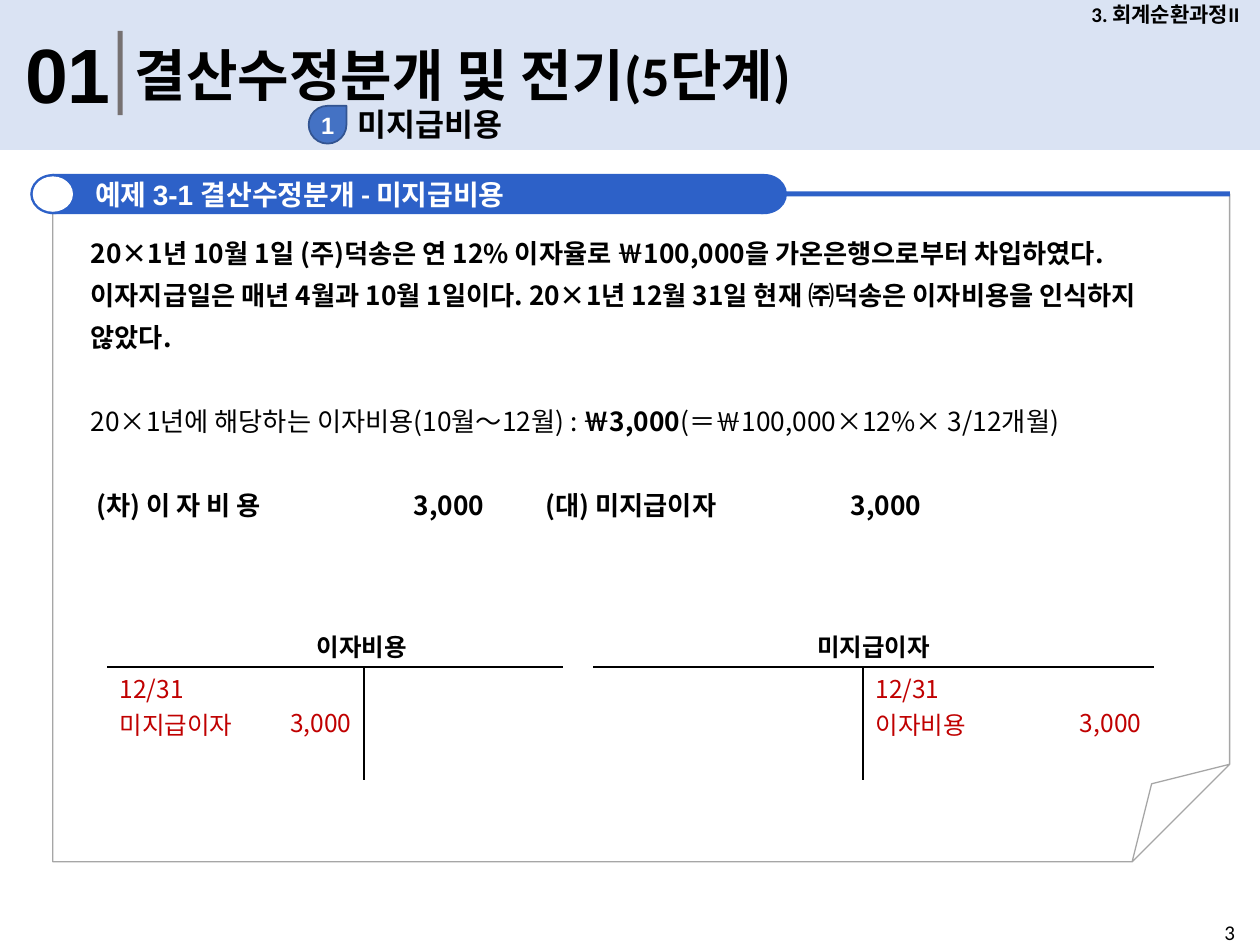
"""Build the accrued expense example slide with its two T-accounts."""
from lxml import etree
from pptx import Presentation
from pptx.dml.color import RGBColor
from pptx.enum.shapes import MSO_SHAPE
from pptx.enum.text import MSO_ANCHOR, MSO_AUTO_SIZE, PP_ALIGN
from pptx.oxml.ns import qn
from pptx.util import Pt

RECTANGLE, OVAL = MSO_SHAPE.RECTANGLE, MSO_SHAPE.OVAL
TEARDROP, FOLDED = MSO_SHAPE.TEAR, MSO_SHAPE.FOLDED_CORNER
TOP, MIDDLE, BOTTOM = MSO_ANCHOR.TOP, MSO_ANCHOR.MIDDLE, MSO_ANCHOR.BOTTOM
LEFT, CENTER, RIGHT = PP_ALIGN.LEFT, PP_ALIGN.CENTER, PP_ALIGN.RIGHT
NO_FIT = MSO_AUTO_SIZE.NONE
BLACK = RGBColor(0x00, 0x00, 0x00)
WHITE = RGBColor(0xFF, 0xFF, 0xFF)
PALE = RGBColor(0xDA, 0xE3, 0xF3)
GRAY = RGBColor(0x76, 0x71, 0x71)
SILVER = RGBColor(0xA6, 0xA6, 0xA6)
BLUE = RGBColor(0x2D, 0x61, 0xC8)
BADGE = RGBColor(0x44, 0x72, 0xC4)
NAVY = RGBColor(0x32, 0x54, 0x91)
RED = RGBColor(0xC0, 0x00, 0x00)
KOREAN = "Noto Sans CJK KR"


def add_span(para, text, size, face="Calibri", color=BLACK, bold=True):
    span = para.add_run()
    span.text = text
    for name, value in {"size": Pt(size), "name": face, "bold": bold}.items():
        setattr(span.font, name, value)
    span.font.color.rgb = color
    etree.SubElement(span.font._element, qn("a:ea"), typeface=KOREAN)


def add_figure(kind, bounds, fill=None, line=None, width=1):
    figure = page.shapes.add_shape(kind, *map(Pt, bounds))
    figure.shadow.inherit = False
    for part, color in ((figure.fill, fill), (figure.line.fill, line)):
        if color is None:
            part.background()
        else:
            part.solid()
            part.fore_color.rgb = color
    if line is not None:
        figure.line.width = Pt(width)
    return figure


deck = Presentation()
deck.slide_width, deck.slide_height = Pt(720), Pt(540)
page = deck.slides.add_slide(deck.slide_layouts[5])

band = add_figure(RECTANGLE, (0, 0, 720, 85.7), PALE)
title = page.shapes.title
band.element.addnext(title.element)
bounds = {"left": 69.8, "top": 19.4, "width": 462, "height": 46}
for name, value in bounds.items():
    setattr(title, name, Pt(value))
title_format = {"vertical_anchor": TOP, "auto_size": NO_FIT, "word_wrap": True}
for name, value in title_format.items():
    setattr(title.text_frame, name, value)
title.text_frame.paragraphs[0].alignment = LEFT
add_span(title.text_frame.paragraphs[0], "결산수정분개 및 전기(5단계)", 32)
add_figure(RECTANGLE, (67.3, 17.6, 2.9, 48.2), GRAY)

labels = [
    ("01", (7.2, 11.5, 65.5, 60.5), 44, "Arial", True, LEFT, TOP),
    ("미지급비용", (197.3, 56.2, 269, 28.8), 18, "Calibri", True, LEFT, TOP),
    ("3. 회계순환과정II", (612, 0, 108, 16.6), 12, "Calibri", True, CENTER, MIDDLE),
    ("3", (692.6, 522, 27.4, 18), 12, "Calibri", False, LEFT, TOP),
]
for text, bounds, size, face, bold, alignment, anchor in labels:
    box = page.shapes.add_textbox(*map(Pt, bounds))
    box.text_frame.vertical_anchor = anchor
    box.text_frame.paragraphs[0].alignment = alignment
    add_span(box.text_frame.paragraphs[0], text, size, face, bold=bold)

badge = add_figure(TEARDROP, (176.4, 60.5, 21.6, 21.6), BADGE, NAVY)
badge_format = {"margin_left": 0, "margin_right": 0, "margin_top": 0,
                "margin_bottom": 0, "vertical_anchor": MIDDLE, "word_wrap": False}
for name, value in badge_format.items():
    setattr(badge.text_frame, name, value)
badge.text_frame.paragraphs[0].alignment = CENTER
add_span(badge.text_frame.paragraphs[0], "1", 13.5, "Arial", WHITE)

sheet = add_figure(FOLDED, (30.2, 110.9, 672.5, 381.6), line=SILVER, width=0.75)
fold = next(sheet.element.iter(qn("a:avLst")))
etree.SubElement(fold, qn("a:gd"), name="adj", fmla="val 14600")
add_figure(RECTANGLE, (31, 109.4, 671.8, 2.9), BLUE)
for left in (17.3, 423.4):
    add_figure(OVAL, (left, 99.4, 26.3, 23), BLUE)
heading = add_figure(RECTANGLE, (29.5, 99.4, 406.8, 23), BLUE)
heading_format = {"margin_left": Pt(24.8), "margin_top": 0, "margin_bottom": 0,
                  "vertical_anchor": MIDDLE}
for name, value in heading_format.items():
    setattr(heading.text_frame, name, value)
heading.text_frame.paragraphs[0].alignment = LEFT
for text, face in (("예제 ", "Calibri"), ("3-1 ", "Arial"),
                   ("결산수정분개 - 미지급비용", "Calibri")):
    add_span(heading.text_frame.paragraphs[0], text, 16, face, WHITE)
add_figure(OVAL, (18.7, 100.8, 23, 20.2), WHITE)

paragraphs = [
    [("20×1년 10월 1일 (주)덕송은 연 12% 이자율로 ￦100,000을 가온은행으로부터 "
      "차입하였다. 이자지급일은 매년 4월과 10월 1일이다. 20×1년 12월 31일 현재 "
      "㈜덕송은 이자비용을 인식하지 않았다.", True)],
    [("20×1년에 해당하는 이자비용(10월～12월) : ", False), ("￦3,000", True),
     ("(＝￦100,000×12%× 3/12개월)", False)],
    [(" (차) 이 자 비 용\t3,000\t(대) 미지급이자\t3,000", True)],
]
body = page.shapes.add_textbox(Pt(43.9), Pt(126), Pt(632.9), Pt(123.1))
body_format = {"word_wrap": True, "margin_left": Pt(7.9), "margin_right": Pt(7.9)}
for name, value in body_format.items():
    setattr(body.text_frame, name, value)
for index, spans in enumerate(paragraphs):
    para = body.text_frame.add_paragraph() if index else body.text_frame.paragraphs[0]
    para.line_spacing = Pt(24)
    if index:
        para.space_before = Pt(24)
    for text, bold in spans:
        add_span(para, text, 15, KOREAN, bold=bold)
tabs = etree.SubElement(para._p.get_or_add_pPr(), qn("a:tabLst"))
for position, side in ((225, "r"), (260, "l"), (474.5, "r")):
    etree.SubElement(tabs, qn("a:tab"), pos=str(Pt(position)), algn=side)

column_widths = [95, 51.8, 46.1, 67.7, 16.6, 82.1, 72, 87.1, 79.2]
row_heights = [24, 43.2, 21.6]
frame = page.shapes.add_table(3, 9, Pt(61.2), Pt(357.1),
                              Pt(sum(column_widths)), Pt(sum(row_heights)))
accounts = frame.table
accounts.first_row = accounts.horz_banding = False
for column, width in zip(accounts.columns, column_widths):
    column.width = Pt(width)
for row, height in zip(accounts.rows, row_heights):
    row.height = Pt(height)
for first in (0, 5):
    accounts.cell(0, first).merge(accounts.cell(0, first + 3))

entries = {
    (0, 0): ("이자비용", CENTER, MIDDLE, BLACK),
    (0, 5): ("미지급이자", CENTER, MIDDLE, BLACK),
    (1, 0): ("12/31 미지급이자", LEFT, MIDDLE, RED),
    (1, 1): ("3,000", RIGHT, BOTTOM, RED),
    (1, 7): ("12/31 이자비용", LEFT, MIDDLE, RED),
    (1, 8): ("3,000", RIGHT, BOTTOM, RED),
}
for row in range(3):
    for column in range(9):
        cell = accounts.cell(row, column)
        edges = {
            "a:lnL": row > 0 and column in (2, 7),
            "a:lnR": row > 0 and column in (1, 6),
            "a:lnT": row == 1 and column != 4,
            "a:lnB": row == 0 and column != 4,
        }
        for tag, drawn in edges.items():
            edge = etree.SubElement(cell._tc.get_or_add_tcPr(), qn(tag), w=str(Pt(1)))
            paint = etree.SubElement(edge, qn("a:solidFill" if drawn else "a:noFill"))
            if drawn:
                etree.SubElement(paint, qn("a:srgbClr"), val=str(BLACK))
        cell.fill.background()
        cell.margin_top = cell.margin_bottom = Pt(1.8)
        para = cell.text_frame.paragraphs[0]
        if (row, column) in entries:
            text, para.alignment, cell.vertical_anchor, color = entries[row, column]
            add_span(para, text, 14, KOREAN, color, bold=row == 0)
        else:
            etree.SubElement(para._p, qn("a:endParaRPr"), sz="1000")
accounts.cell(0, 0).margin_left = Pt(38)

deck.save("out.pptx")
